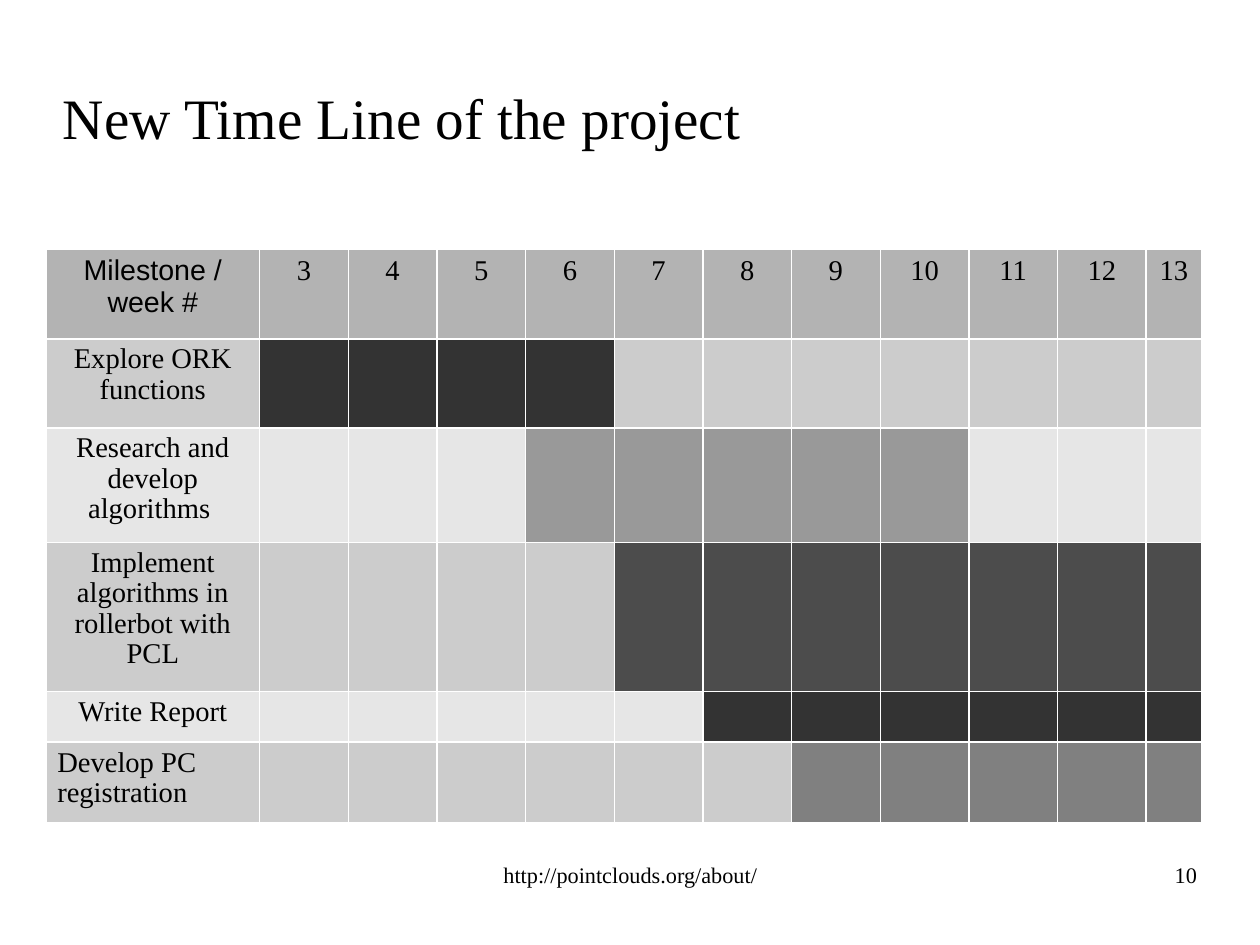
from pptx import Presentation
from pptx.dml.color import RGBColor
from pptx.enum.text import MSO_ANCHOR, PP_ALIGN
from pptx.util import Cm, Pt

LEFT, MID, RIGHT = PP_ALIGN.LEFT, PP_ALIGN.CENTER, PP_ALIGN.RIGHT
TOP, CENTER = MSO_ANCHOR.TOP, MSO_ANCHOR.MIDDLE
SERIF, SANS = "Times New Roman", "Arial"

LABELS = [
    ("New Time Line of the project", (1.4, 1.6, 20, 2), 36, LEFT, CENTER),
    ("http://pointclouds.org/about/", (9.58, 19.13, 8.86, 1.45), 14, MID, TOP),
    ("10", (20.07, 19.13, 6.53, 1.45), 14, RIGHT, TOP),
]
HEAD = "Milestone / week #"
WEEKS = range(3, 14)
HEAD_FILL = "B3B3B3"
BANDS = ["CCCCCC", "E6E6E6"]
TASKS = [
    ("Explore ORK functions", 3, 6, "333333", MID),
    ("Research and develop algorithms ", 6, 10, "999999", MID),
    ("Implement algorithms in rollerbot with PCL", 7, 13, "4C4C4C", MID),
    ("Write Report", 8, 13, "333333", MID),
    ("Develop PC registration", 9, 13, "808080", LEFT),
]
WIDTHS = [4.75] + [1.97] * 10 + [1.23]
HEIGHTS = [2, 1.98, 2.54, 3.31, 1.13, 1.8]


def paint(fill, color):
    fill.solid()
    fill.fore_color.rgb = RGBColor.from_string(color)


def write(frame, text, size, align, font=SERIF):
    frame.text = text
    para = frame.paragraphs[0]
    para.alignment = align
    for run in para.runs:
        run.font.size = Pt(size)
        run.font.name = font
        paint(run.font.fill, "000000")
    return para


def label(slide, text, box, size, align, anchor):
    frame = slide.shapes.add_textbox(*map(Cm, box)).text_frame
    frame.word_wrap = True
    frame.vertical_anchor = anchor
    frame.margin_left = frame.margin_right = 0
    frame.margin_top = frame.margin_bottom = 0
    write(frame, text, size, align)


def chart(slide):
    table = slide.shapes.add_table(
        len(HEIGHTS), len(WIDTHS), Cm(1.02), Cm(5.53),
        Cm(sum(WIDTHS)), Cm(sum(HEIGHTS))).table
    for col, width in zip(table.columns, WIDTHS):
        col.width = Cm(width)
    for row, height in zip(table.rows, HEIGHTS):
        row.height = Cm(height)

    for i, text in enumerate([HEAD, *map(str, WEEKS)]):
        cell = table.cell(0, i)
        paint(cell.fill, HEAD_FILL)
        write(cell.text_frame, text, 18, MID, SERIF if i else SANS)

    for i, (name, start, end, color, align) in enumerate(TASKS):
        band = BANDS[i % 2]
        cell = table.cell(i + 1, 0)
        paint(cell.fill, band)
        write(cell.text_frame, name, 18, align).line_spacing = 0.96
        for j, week in enumerate(WEEKS, 1):
            busy = start <= week <= end
            paint(table.cell(i + 1, j).fill, color if busy else band)


def main():
    deck = Presentation()
    deck.slide_width, deck.slide_height = Cm(28), Cm(21)
    slide = deck.slides.add_slide(deck.slide_layouts[6])
    chart(slide)
    for item in LABELS:
        label(slide, *item)
    deck.save("out.pptx")


if __name__ == "__main__":
    main()
